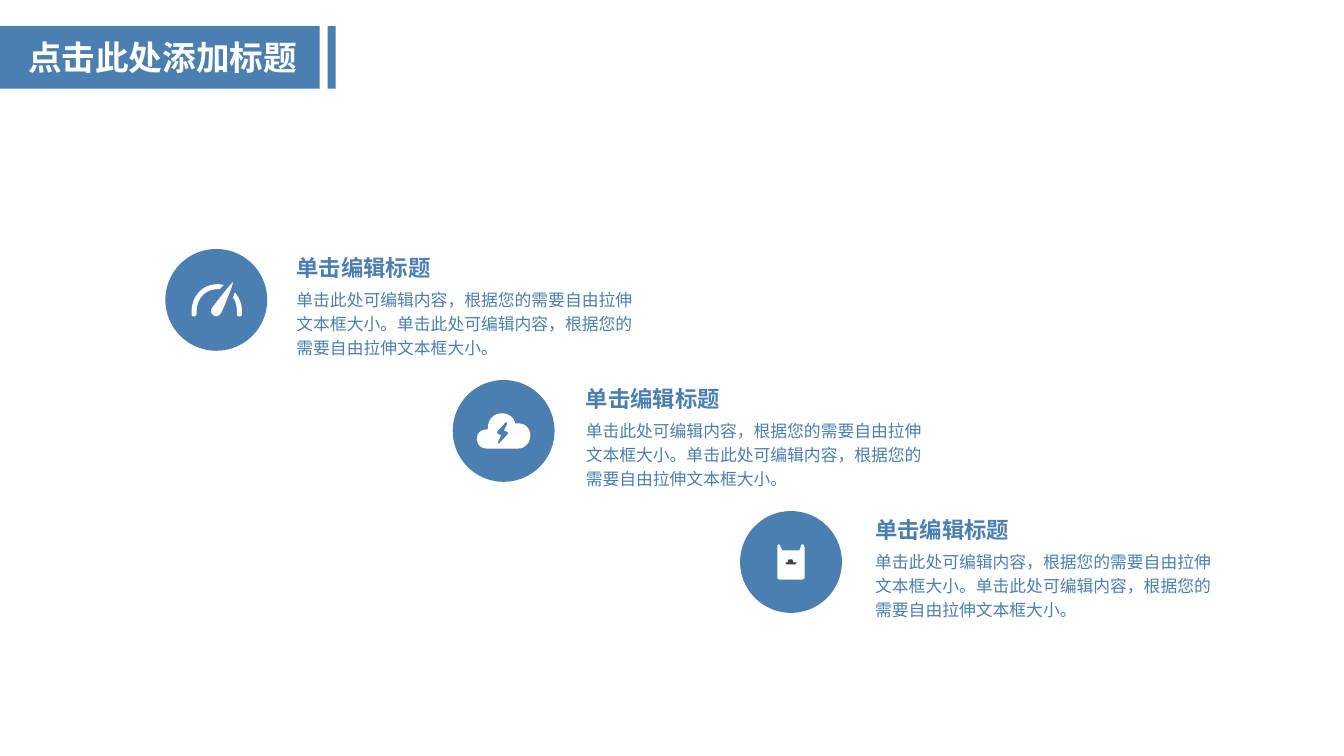
from pptx import Presentation
from pptx.dml.color import RGBColor
from pptx.enum.shapes import MSO_SHAPE
from pptx.enum.text import MSO_AUTO_SIZE
from pptx.util import Pt

RECT, OVAL = MSO_SHAPE.RECTANGLE, MSO_SHAPE.OVAL
GROW = MSO_AUTO_SIZE.SHAPE_TO_FIT_TEXT
PX = 9144
BLUE, WHITE, DARK = "4B7FB1", "FFFFFF", "404040"
FONT = "Arial"

TITLE = "点击此处添加标题"
HEAD = "单击编辑标题"
BODY = "单击此处可编辑内容，根据您的需要自由拉伸文本框大小。" * 2
BARS = [(0, 26, 317, 62), (325, 26, 8, 62)]

# A pair is a corner; six numbers are a Bézier curve.
GAUGE = [
    [(233, 290), (232, 292, 232, 294, 231, 295), (234, 299, 235, 304, 235, 309),
     (235, 311), (235, 313, 236, 314, 237, 314), (239, 314, 240, 313, 240, 312),
     (240, 309), (240, 301, 237, 295, 233, 290)],
    [(215, 287), (218, 287), (219, 286, 220, 284, 222, 283),
     (220, 282, 217, 282, 215, 282), (201, 282, 190, 294, 190, 309), (190, 312),
     (190, 313, 191, 314, 192, 314), (194, 314, 195, 313, 195, 311),
     (195, 309), (195, 296, 204, 287, 215, 287)],
    [(210, 306), (208, 309, 210, 311, 212, 313), (214, 314, 217, 314, 219, 311),
     (221, 308, 232, 281, 231, 280), (230, 280, 212, 303, 210, 306)],
]
CLOUD = [
    [(503, 431), (502, 433, 496, 439, 496, 439), (496, 440, 495, 440, 494, 440),
     (494, 438), (497, 432), (495, 431), (494, 430, 493, 430, 493, 429),
     (493, 429, 493, 428, 494, 427), (495, 426, 501, 420, 501, 419),
     (501, 419, 502, 419, 503, 419), (503, 421), (500, 427), (502, 428),
     (503, 428, 504, 429, 504, 430), (504, 430, 504, 431, 503, 431)],
    [(514, 420), (513, 420, 512, 420, 511, 420), (510, 414, 504, 410, 498, 410),
     (490, 410, 484, 416, 484, 424), (484, 426), (483, 426),
     (477, 426, 473, 430, 473, 435), (473, 441, 477, 445, 483, 445), (514, 445),
     (521, 445, 526, 439, 526, 432), (526, 425, 521, 420, 514, 420)],
]
BADGE = [
    [(795, 540), (793, 546), (776, 546), (773, 540), (772, 540, 771, 541, 771, 543),
     (771, 573), (771, 574, 772, 575, 773, 575), (795, 575),
     (797, 575, 798, 574, 798, 573), (798, 543), (798, 541, 797, 540, 795, 540)],
]
HAT = [
    [(789, 560), (790, 558), (787, 558), (786, 555), (782, 555),
     (781, 558), (779, 558), (780, 560)],
]
ITEMS = [
    (HEAD, BODY, [(GAUGE, WHITE)]),
    (HEAD, BODY, [(CLOUD, WHITE)]),
    (HEAD, BODY, [(BADGE, WHITE), (HAT, DARK)]),
]


def rgb(color):
    return RGBColor.from_string(color)


def paint(shape, color):
    shape.shadow.inherit = False
    shape.fill.solid()
    shape.fill.fore_color.rgb = rgb(color)
    shape.line.fill.background()


def block(kind, box, color):
    paint(shapes.add_shape(kind, *(v * PX for v in box)), color)


def bend(start, curve, steps=8):
    knots = [start, curve[:2], curve[2:4], curve[4:]]
    points = []
    for i in range(1, steps + 1):
        t = i / steps
        u = 1 - t
        parts = (u ** 3, 3 * u * u * t, 3 * u * t * t, t ** 3)
        points.append(tuple(sum(w * k[a] for w, k in zip(parts, knots)) for a in (0, 1)))
    return points


def trace(outline):
    points = [outline[0]]
    for step in outline[1:]:
        points += [step] if len(step) == 2 else bend(points[-1], step)
    return [(x * PX, y * PX) for x, y in points]


def draw(icon, color):
    loops = [trace(outline) for outline in icon]
    pen = shapes.build_freeform(*loops[0][0])
    pen.add_line_segments(loops[0][1:], close=True)
    for loop in loops[1:]:
        pen.move_to(*loop[0])
        pen.add_line_segments(loop[1:], close=True)
    paint(pen.convert_to_shape(), color)


def write(text, box, size, color, bold=False, tight=True):
    frame = shapes.add_textbox(*(v * PX for v in box)).text_frame
    frame.word_wrap = True
    frame.auto_size = GROW
    para = frame.paragraphs[0]
    para.text = text
    if tight:
        frame.margin_left = frame.margin_right = 0
        frame.margin_top = frame.margin_bottom = 0
        para.line_spacing = 1.2
    font = para.font
    font.name, font.size, font.bold = FONT, Pt(size), bold
    font.color.rgb = rgb(color)


deck = Presentation()
deck.slide_width, deck.slide_height = 1333 * PX, 750 * PX
shapes = deck.slides.add_slide(deck.slide_layouts[6]).shapes

for bar in BARS:
    block(RECT, bar, BLUE)
write(TITLE, (18, 32, 315, 50), 24, WHITE, bold=True, tight=False)

for i, (head, body, icons) in enumerate(ITEMS):
    top, left = 247 + 130 * i, 294 + 287 * i
    block(OVAL, (164 + 285 * i, top, 101, 101), BLUE)
    for icon, color in icons:
        draw(icon, color)
    write(body, (left, top + 36, 348, 72), 12, BLUE)
    write(head, (left, top, 146, 30), 16, BLUE, bold=True)

deck.save("out.pptx")
